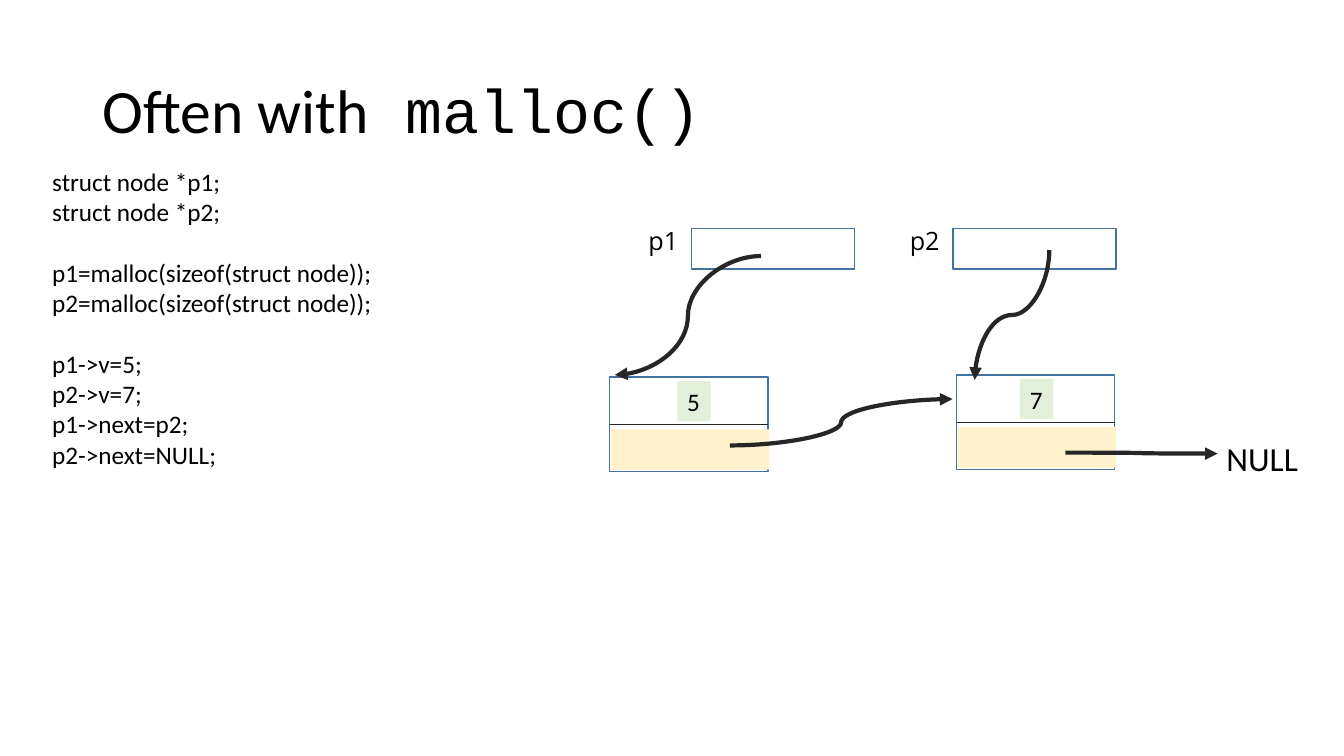
import pptx
import pptx.util
import pptx.dml.color
import pptx.enum.shapes
import pptx.enum.text
import pptx.oxml.ns
import lxml.etree

Pt = pptx.util.Pt
Kind = pptx.enum.shapes.MSO_CONNECTOR
Anchor = pptx.enum.text.MSO_ANCHOR
Align = pptx.enum.text.PP_ALIGN
qn = pptx.oxml.ns.qn


def tint(code):
    return pptx.dml.color.RGBColor.from_string(code)


class Board:
    font, mono, label = "Calibri", "Courier New", "Open Sans"
    ink, edge, dark = "000000", "43739E", "262626"
    green, cream = "E2F0D9", "FFF2CC"

    def __init__(self, slide):
        self.shapes = slide.shapes

    def style(self, run, size, font):
        run.font.size = Pt(size)
        run.font.name = font
        run.font.color.rgb = tint(self.ink)

    def letter(self, frame, text, size, font, wrap):
        frame.text = text
        frame.word_wrap = wrap
        for para in frame.paragraphs:
            para.alignment = Align.LEFT
            for run in para.runs:
                self.style(run, size, font)

    def text(self, x, y, w, h, text, size=18, font=font, wrap=True):
        box = self.shapes.add_textbox(Pt(x), Pt(y), Pt(w), Pt(h))
        self.letter(box.text_frame, text, size, font, wrap)
        return box.text_frame

    def rect(self, x, y, w, h, fill=None, text=""):
        kind = pptx.enum.shapes.MSO_SHAPE.RECTANGLE
        box = self.shapes.add_shape(kind, Pt(x), Pt(y), Pt(w), Pt(h))
        box.shadow.inherit = False
        if fill:
            box.fill.solid()
            box.fill.fore_color.rgb = tint(fill)
            box.line.fill.background()
        else:
            box.fill.background()
            box.line.color.rgb = tint(self.edge)
            box.line.width = Pt(1)
        if text:
            self.letter(box.text_frame, text, 18, self.font, False)

    def line(self, x1, y1, x2, y2, kind=Kind.STRAIGHT, width=0.5):
        link = self.shapes.add_connector(kind, Pt(x1), Pt(y1), Pt(x2), Pt(y2))
        link.line.color.rgb = tint(self.dark)
        link.line.width = Pt(width)
        props = link._element.spPr
        lxml.etree.SubElement(props, qn("a:effectLst"))
        return props

    def arrow(self, x1, y1, x2, y2, down=False):
        if down:
            midx, midy = (x1 + x2) / 2, (y1 + y2) / 2
            dx, dy = (y2 - y1) / 2, (x1 - x2) / 2
            x1, y1, x2, y2 = midx - dx, midy - dy, midx + dx, midy + dy
        props = self.line(x1, y1, x2, y2, Kind.CURVE, 3)
        if down:
            props.find(qn("a:xfrm")).set("rot", "5400000")
        lxml.etree.SubElement(props.find(qn("a:ln")), qn("a:tailEnd"), type="triangle")

    def node(self, x, y, shift, value):
        self.rect(x, y, 113, 67.7)
        self.line(x, y + 33.8, x + 113, y + 33.8)
        self.rect(x + shift, y + 2.9, 23.8, 28.8, self.green, value)
        self.rect(x + 1, y + 37.4, 113, 28.8, self.cream)

    def pointer(self, x, name):
        self.rect(x, 163.4, 116.6, 28.8)
        self.text(x - 37.8, 157.7, 40.3, 28.8, name, font=self.label)


deck = pptx.Presentation()
deck.slide_width, deck.slide_height = Pt(960), Pt(540)
board = Board(deck.slides.add_slide(deck.slide_layouts[6]))

code = board.text(30.2, 115.2, 306, 225.4, "\n".join([
    "struct node *p1;",
    "struct node *p2;",
    "p1=malloc(sizeof(struct node));",
    "p2=malloc(sizeof(struct node));",
    "p1->v=5;",
    "p2->v=7;",
    "p1->next=p2;\vp2->next=NULL;",
]))
for row in (1, 3):
    code.paragraphs[row].space_after = Pt(21.8)

title = board.text(66.2, 28.8, 828, 104.4, "Often with", 44)
title.vertical_anchor = Anchor.MIDDLE
head = title.paragraphs[0]
head.line_spacing = 0.9
call = head.add_run()
call.text = " malloc()"
board.style(call, 44, board.mono)

board.node(435.6, 269.3, 48.2, "5")
board.node(683.3, 267.8, 45.3, "7")
board.pointer(493.9, "p1")
board.pointer(680.6, "p2")

board.arrow(543.6, 182.9, 439.2, 267.8)
board.arrow(749.5, 178.6, 696.2, 271.4, down=True)
board.arrow(521.3, 318.2, 680.4, 285.1)
board.arrow(761, 323.3, 869.8, 324)
board.text(869, 309.6, 66.2, 36, "NULL", 24, wrap=False)

deck.save("out.pptx")
